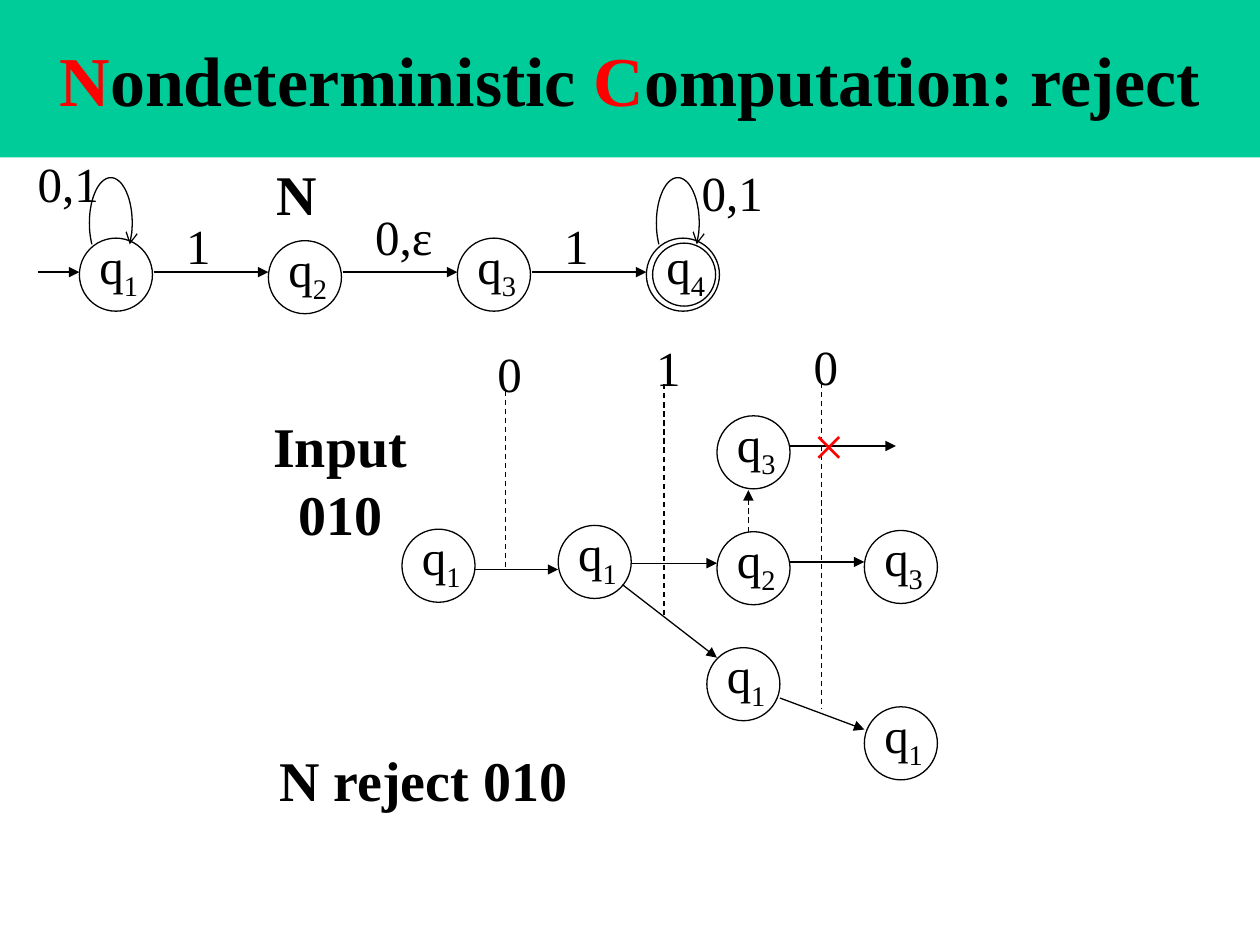
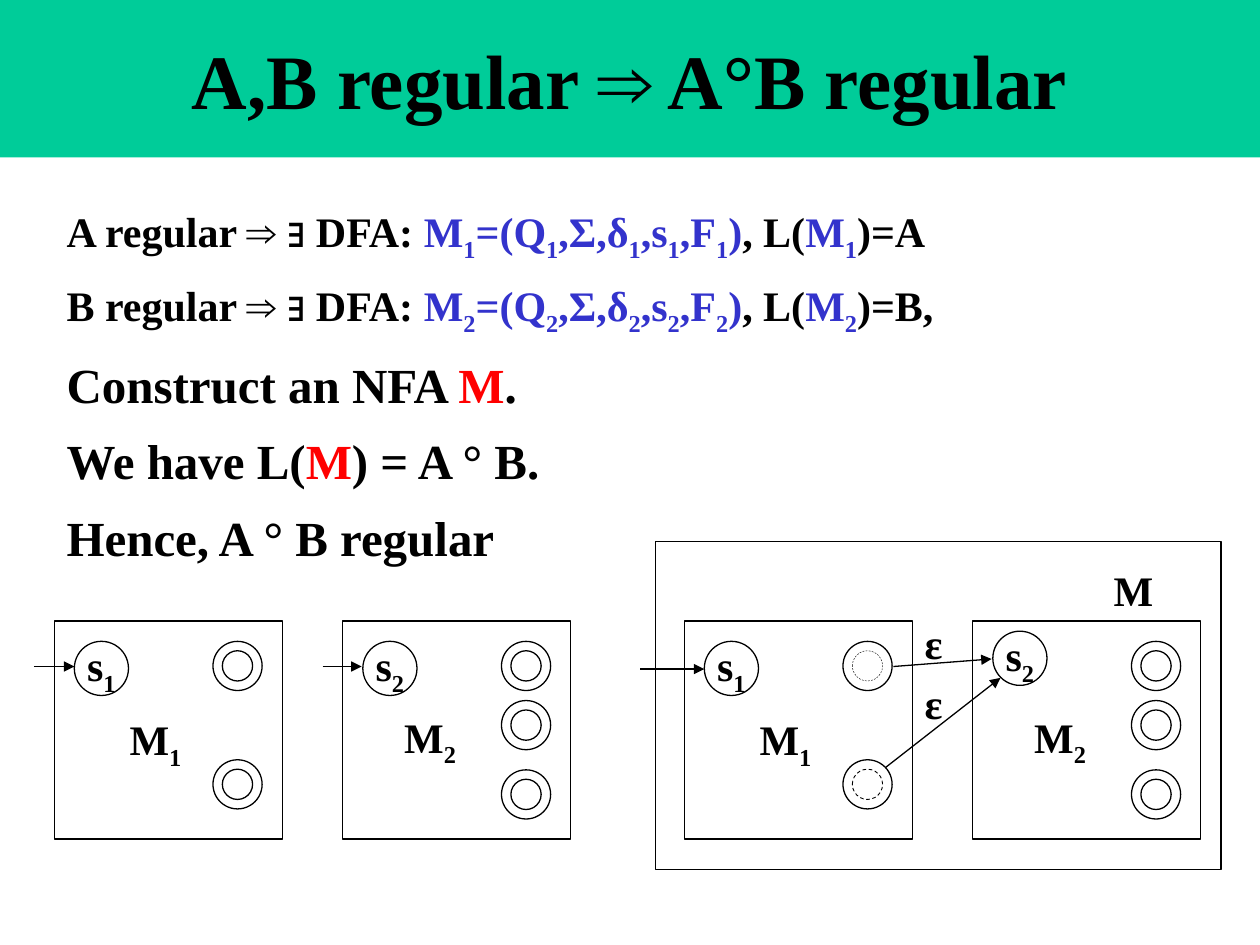
from math import cos, radians, sin

from lxml import etree
from pptx import Presentation
from pptx.dml.color import RGBColor
from pptx.enum.dml import MSO_LINE
from pptx.enum.shapes import MSO_CONNECTOR, MSO_SHAPE
from pptx.enum.text import MSO_ANCHOR, MSO_AUTO_SIZE, PP_ALIGN
from pptx.oxml.ns import qn
from pptx.util import Inches, Pt

FONT = "Times New Roman"
BLACK, RED, BLUE, GREEN = "000000", "FF0000", "3333CC", "00CC99"
STATE, START, FINAL, CORE = 0.58, 0.43, 0.39, 0.24
MACHINE_TOP, MACHINE_WIDTH, MACHINE_HEIGHT = 4.93, 1.81, 1.73


def colour_of(value):
    """Turn a hex string into a colour."""
    return RGBColor.from_string(value)


def add_span(para, words, size, bold, colour, lowered=False):
    """Add one run, lowered when it is a subscript."""
    if not words:
        return
    span = para.add_run()
    span.text = words
    span.font.name = FONT
    span.font.size = Pt(size)
    span.font.bold = bold
    span.font.color.rgb = colour_of(colour)
    if lowered:
        span.font._element.set("baseline", "-25000")


def write(frame, text, size=28, bold=False, colour=BLACK, accent=RED,
          align=PP_ALIGN.LEFT, leading=None, gap=0):
    """Append paragraphs; bars enclose accented words, _ lowers the next character."""
    for line in text.split("\n"):
        first = not frame.paragraphs[0].runs
        para = frame.paragraphs[0] if first else frame.add_paragraph()
        para.alignment = align
        para.line_spacing = leading
        para.space_before = Pt(0 if first else gap)
        para.space_after = Pt(gap)
        for index, piece in enumerate(line.split("|")):
            shade = accent if index % 2 else colour
            head, *rest = piece.split("_")
            add_span(para, head, size, bold, shade)
            for part in rest:
                add_span(para, part[0], size, bold, shade, lowered=True)
                add_span(para, part[1:], size, bold, shade)


class Board:
    """Holds the deck and the slide being drawn."""

    def __init__(self):
        """Start an empty deck."""
        self.deck = Presentation()
        self.deck.slide_width, self.deck.slide_height = Inches(10), Inches(7.5)
        self.page = None

    def start_page(self, title):
        """Add a slide with its title band."""
        self.page = self.deck.slides.add_slide(self.deck.slide_layouts[6])
        band = self.outline(MSO_SHAPE.RECTANGLE, 0, 0, 10, 1.25)
        band.fill.solid()
        band.fill.fore_color.rgb = colour_of(GREEN)
        band.line.fill.background()
        band.text_frame.word_wrap = True
        band.text_frame.vertical_anchor = MSO_ANCHOR.MIDDLE
        size = 40 if "|" in title else 44
        write(band.text_frame, title, size=size, bold=True, align=PP_ALIGN.CENTER)

    def stroke(self, line, weight=0.75, dashed=False, head=None):
        """Style a line, with an arrowhead at its end if named."""
        line.color.rgb = colour_of(BLACK)
        line.width = Pt(weight)
        if dashed:
            line.dash_style = MSO_LINE.DASH
        if head:
            etree.SubElement(line._get_or_add_ln(), qn("a:tailEnd"), type=head)

    def outline(self, kind, left, top, width, height, **stroke):
        """Add an unfilled preset shape."""
        shape = self.page.shapes.add_shape(
            kind, Inches(left), Inches(top), Inches(width), Inches(height))
        shape.shadow.inherit = False
        shape.fill.background()
        self.stroke(shape.line, **stroke)
        return shape

    def ring(self, left, top, size, **stroke):
        """Add a circle."""
        return self.outline(MSO_SHAPE.OVAL, left, top, size, size, **stroke)

    def label(self, text, left, top, width, height=0.57, **style):
        """Add a text box that fits its text."""
        box = self.page.shapes.add_textbox(
            Inches(left), Inches(top), Inches(width), Inches(height))
        box.text_frame.word_wrap = False
        box.text_frame.auto_size = MSO_AUTO_SIZE.SHAPE_TO_FIT_TEXT
        write(box.text_frame, text, **style)
        return box

    def line(self, x1, y1, x2, y2, dashed=False, head="triangle"):
        """Add a straight line, an arrow by default."""
        link = self.page.shapes.add_connector(
            MSO_CONNECTOR.STRAIGHT, Inches(x1), Inches(y1), Inches(x2), Inches(y2))
        self.stroke(link.line, dashed=dashed, head=head)
        etree.SubElement(link._element.spPr, qn("a:effectLst"))

    def state(self, number, left, top):
        """Add a numbered state."""
        self.ring(left, top, STATE)
        self.label(f"q_{number}", left + 0.06, top - 0.07, 0.53)

    def loop(self, left):
        """Add the arrow from a state of the top row to itself."""
        points = [(Inches(left + 0.25 + 0.17 * cos(radians(angle))),
                   Inches(1.77 + 0.36 * sin(radians(angle))))
                  for angle in range(152, 389, 4)]
        builder = self.page.shapes.build_freeform(*points[0])
        builder.add_line_segments(points[1:], close=False)
        curve = builder.convert_to_shape()
        curve.shadow.inherit = False
        curve.fill.background()
        self.stroke(curve.line, head="arrow")

    def reading(self, symbol, x, top, bottom):
        """Add an input symbol over its dashed time line."""
        self.line(x, top, x, bottom, dashed=True, head=None)
        self.label(symbol, x - 0.16, top - 0.42, 0.4)

    def machine(self, number, left, name_at, finals, start_top=5.09, core_weights=None):
        """Add a boxed machine; given core weights make its inner rings dashed."""
        self.outline(MSO_SHAPE.RECTANGLE, left, MACHINE_TOP, MACHINE_WIDTH, MACHINE_HEIGHT)
        inset = (FINAL - CORE) / 2
        weights = core_weights or [0.75] * len(finals)
        for top, weight in zip(finals, weights):
            self.ring(left + 1.26, top, FINAL)
            self.ring(left + 1.26 + inset, top + inset, CORE,
                      weight=weight, dashed=bool(core_weights))
        start = self.ring(left + 0.16, start_top, START)
        frame = start.text_frame
        frame.margin_left = frame.margin_right = frame.margin_top = frame.margin_bottom = 0
        frame.word_wrap = False
        frame.vertical_anchor = MSO_ANCHOR.MIDDLE
        write(frame, f"s_{number}", size=24, bold=True, align=PP_ALIGN.CENTER)
        dx, top = name_at
        self.label(f"M_{number}", left + dx, top, 0.68, 0.54, size=24, bold=True, leading=1.1)


def draw_rejection(board):
    """Draw the automaton and its computation on 010."""
    board.start_page("|N|ondeterministic |C|omputation: reject")
    lefts = [0.63 + 1.5 * step for step in range(4)]
    for number, (left, top) in enumerate(zip(lefts, (1.89, 1.91, 1.89, 1.89)), 1):
        board.state(number, left, top)
    board.ring(5.18, 1.93, 0.5)
    board.line(0.3, 2.16, lefts[0], 2.16)
    for left, following in zip(lefts, lefts[1:]):
        board.line(left + 0.59, 2.16, following, 2.16)
    for left in (lefts[0], lefts[3]):
        board.loop(left)
    for text, left, top, width in (("0,1", 0.2, 1.17, 0.69), ("1", 1.38, 1.66, 0.4),
                                   ("0,ε", 2.88, 1.59, 0.66), ("1", 4.38, 1.66, 0.4),
                                   ("0,1", 5.47, 1.24, 0.69)):
        board.label(text, left, top, width)

    for symbol, x, top, bottom in (("0", 4.01, 3.1, 4.52), ("1", 5.27, 3.05, 4.89),
                                   ("0", 6.52, 3.04, 5.62)):
        board.reading(symbol, x, top, bottom)
    for number, left, top in ((1, 3.19, 4.2), (1, 4.43, 4.17), (2, 5.69, 4.22),
                              (1, 5.61, 5.14), (3, 5.69, 3.3), (1, 6.86, 5.61),
                              (3, 6.86, 4.21)):
        board.state(number, left, top)
    for ends in ((3.76, 4.52, 4.43, 4.52), (5.02, 4.47, 5.69, 4.47),
                 (4.94, 4.64, 5.69, 5.22), (6.27, 3.54, 7.11, 3.54),
                 (6.19, 5.54, 6.86, 5.79), (6.27, 4.46, 6.86, 4.46)):
        board.line(*ends)
    board.line(5.94, 4.22, 5.94, 3.89, dashed=True)
    board.label("×", 6.36, 3.21, 0.65, 0.63, size=32, colour=RED)
    for text, left, top, width, height in (("Input\n010", 2.05, 3.22, 1.3, 1.18),
                                           ("N reject 010", 2.1, 5.87, 2.52, 0.64),
                                           ("N", 2.09, 1.22, 0.53, 0.64)):
        board.label(text, left, top, width, height, size=32, bold=True,
                    align=PP_ALIGN.CENTER)


def draw_concatenation(board):
    """Draw the proof that concatenation keeps regularity."""
    board.start_page("A,B regular ⇒ A°B regular")
    proof = board.label(
        "A regular ⇒ ∃ DFA: |M_1=(Q_1,Σ,δ_1,s_1,F_1)|, L(|M_1|)=A\n"
        "B regular ⇒ ∃ DFA: |M_2=(Q_2,Σ,δ_2,s_2,F_2)|, L(|M_2|)=B,",
        0.43, 1.54, 7.42, 2.9, size=24, bold=True, accent=BLUE, leading=1.1, gap=3)
    write(proof.text_frame,
          "Construct an NFA |M|.\nWe have L(|M|) = A ° B.\nHence, A ° B regular",
          bold=True, leading=1.1, gap=3.5)

    first = {"number": 1, "name_at": (0.5, 5.57), "finals": (5.09, 6.03)}
    second = {"number": 2, "name_at": (0.39, 5.55), "finals": (5.09, 5.56, 6.11)}
    board.machine(left=0.43, **first)
    board.machine(left=2.72, **second)
    board.outline(MSO_SHAPE.RECTANGLE, 5.2, 4.3, 4.49, 2.6)
    board.machine(left=5.43, core_weights=(0.25, 0.5), **first)
    board.machine(left=7.72, start_top=5.01, **second)
    for ends in ((0.27, 5.29, 0.59, 5.29), (2.56, 5.29, 2.87, 5.29),
                 (5.08, 5.31, 5.59, 5.31), (7.09, 5.29, 7.87, 5.23),
                 (7.03, 6.09, 7.94, 5.38)):
        board.line(*ends)
    for top in (4.85, 5.33):
        board.label("ε", 7.24, top, 0.43, 0.5, size=24, bold=True)
    board.label("M", 8.74, 4.39, 0.57, 0.54, size=24, bold=True, leading=1.1)


def main():
    """Build and save the deck."""
    board = Board()
    draw_rejection(board)
    draw_concatenation(board)
    board.deck.save("out.pptx")


if __name__ == "__main__":
    main()
